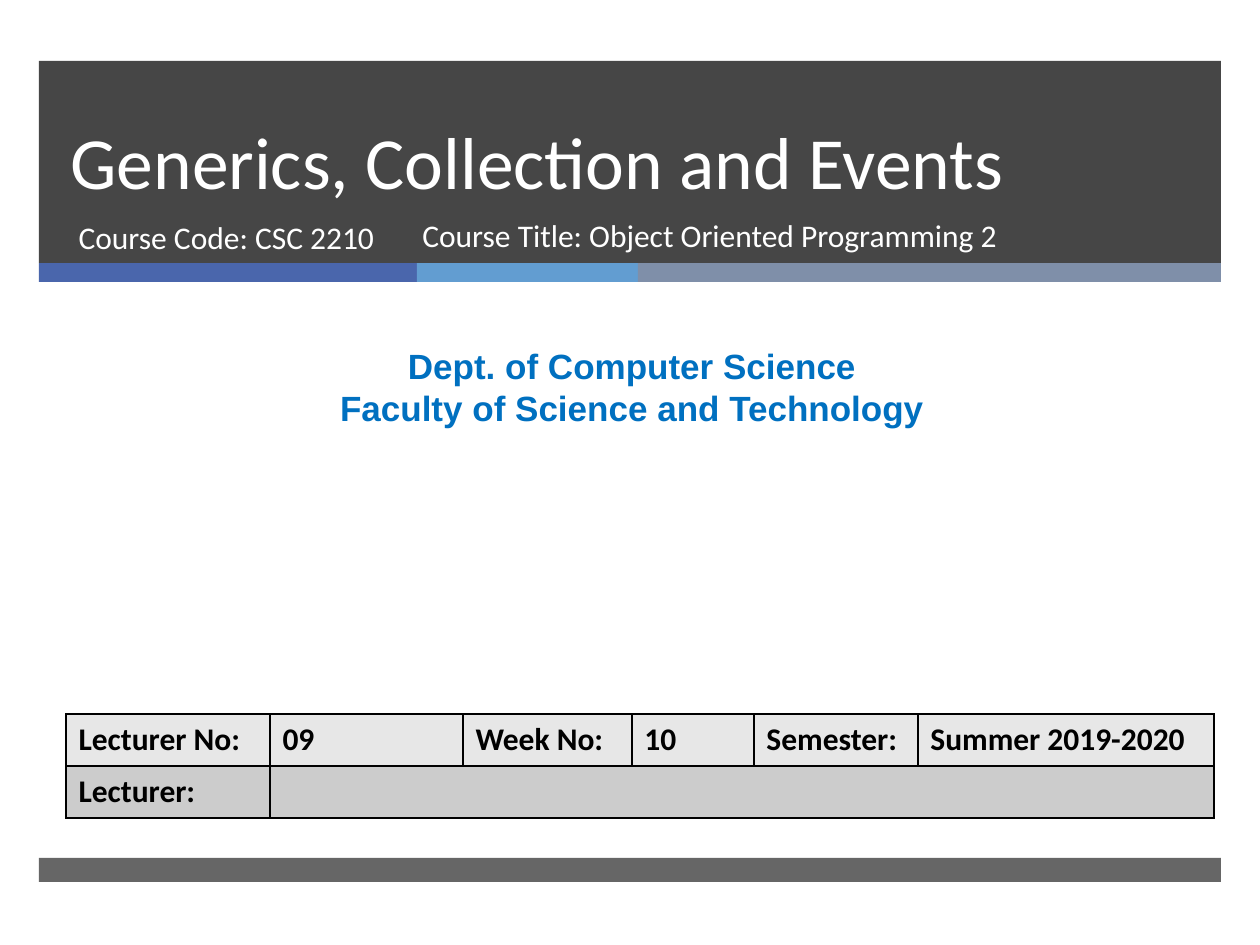
from lxml.etree import SubElement
from pptx import Presentation
from pptx.dml.color import RGBColor
from pptx.enum.shapes import MSO_SHAPE
from pptx.enum.text import MSO_ANCHOR, MSO_AUTO_SIZE, PP_ALIGN
from pptx.oxml.ns import qn
from pptx.util import Emu, Pt

EMU_PER_PX = 914400 / 126
BAR_LEFT, BAR_WIDTH = 39, 1182
STRIPES = [(378, "4A66AC"), (221, "629DD1"), (583, "7F8FA9")]
COLUMNS = [204, 193, 169, 122, 164, 296]
ROW_HEIGHT = 52
ROWS = [
    ("E7E7E7", ["Lecturer No:", "09", "Week No:", "10", "Semester:", "Summer 2019-2020"]),
    ("CCCCCC", ["Lecturer:"]),
]


def px(n):
    return Emu(round(n * EMU_PER_PX))


def rgb(color):
    return RGBColor.from_string(color)


def add_bar(s, x, y, w, h, color, opacity=100):
    sp = s.shapes.add_shape(MSO_SHAPE.RECTANGLE, px(x), px(y), px(w), px(h))
    sp.shadow.inherit = False
    sp.fill.solid()
    sp.fill.fore_color.rgb = rgb(color)
    sp.line.fill.background()
    if opacity < 100:
        clr = sp.element.spPr.find(".//" + qn("a:srgbClr"))
        SubElement(clr, qn("a:alpha")).set("val", str(opacity * 1000))


def format_text(tf, size, color, font="Calibri", bold=False, align=PP_ALIGN.LEFT):
    for p in tf.paragraphs:
        p.alignment = align
        p.space_before = Pt(0)
        for r in p.runs:
            r.font.size = Pt(size)
            r.font.name = font
            r.font.bold = bold
            r.font.color.rgb = rgb(color)


def fill_placeholder(s, idx, x, y, w, h, text, size, anchor):
    sp = s.placeholders[idx]
    s.shapes.element.append(sp.element)  # bring in front of the bars
    sp.left, sp.top, sp.width, sp.height = px(x), px(y), px(w), px(h)
    tf = sp.text_frame
    tf.text = text
    tf.auto_size = MSO_AUTO_SIZE.NONE
    tf.vertical_anchor = anchor
    format_text(tf, size, "FFFFFF")
    return tf


def add_text(s, x, y, w, h, text, size, color, **style):
    tf = s.shapes.add_textbox(px(x), px(y), px(w), px(h)).text_frame
    tf.word_wrap = True
    tf.text = text
    format_text(tf, size, color, **style)


def set_borders(cell, color, width):
    tcPr = cell._tc.get_or_add_tcPr()
    for side in ("lnL", "lnR", "lnT", "lnB"):
        ln = SubElement(tcPr, qn(f"a:{side}"), w=str(Pt(width)))
        fill = SubElement(ln, qn("a:solidFill"))
        SubElement(fill, qn("a:srgbClr"), val=color)


def add_lecture_table(s, x, y):
    table = s.shapes.add_table(len(ROWS), len(COLUMNS), px(x), px(y),
                               px(sum(COLUMNS)), px(ROW_HEIGHT * len(ROWS))).table
    for column, width in zip(table.columns, COLUMNS):
        column.width = px(width)
    for i, (color, texts) in enumerate(ROWS):
        for j in range(len(COLUMNS)):
            cell = table.cell(i, j)
            set_borders(cell, "000000", 1)
            cell.fill.solid()
            cell.fill.fore_color.rgb = rgb(color)
            if j < len(texts):
                cell.text = texts[j]
                format_text(cell.text_frame, 18, "000000", bold=True)
    table.cell(1, 1).merge(table.cell(1, len(COLUMNS) - 1))


def main():
    prs = Presentation()
    prs.slide_width, prs.slide_height = px(1260), px(945)
    s = prs.slides.add_slide(prs.slide_layouts[0])

    add_bar(s, BAR_LEFT, 61, BAR_WIDTH, 202, "262626", 85)
    x = BAR_LEFT
    for width, color in STRIPES:
        add_bar(s, x, 263, width, 19, color)
        x += width
    add_bar(s, BAR_LEFT, 858, BAR_WIDTH, 24, "262626", 70)

    title = fill_placeholder(s, 0, 58, 61, 1076, 150, "Generics, Collection and Events",
                             42, MSO_ANCHOR.BOTTOM)
    title.paragraphs[0].line_spacing = Pt(46)
    fill_placeholder(s, 1, 66, 212, 384, 67, "Course Code: CSC 2210", 18, MSO_ANCHOR.TOP)
    add_text(s, 10, 338, 1244, 97,
             "Dept. of Computer Science\nFaculty of Science and Technology",
             20, "0070C0", font="Arial", bold=True, align=PP_ALIGN.CENTER)
    add_lecture_table(s, 66, 714)
    add_text(s, 410, 210, 644, 67, "Course Title: Object Oriented Programming 2", 18, "FFFFFF")

    prs.save("out.pptx")


if __name__ == "__main__":
    main()
